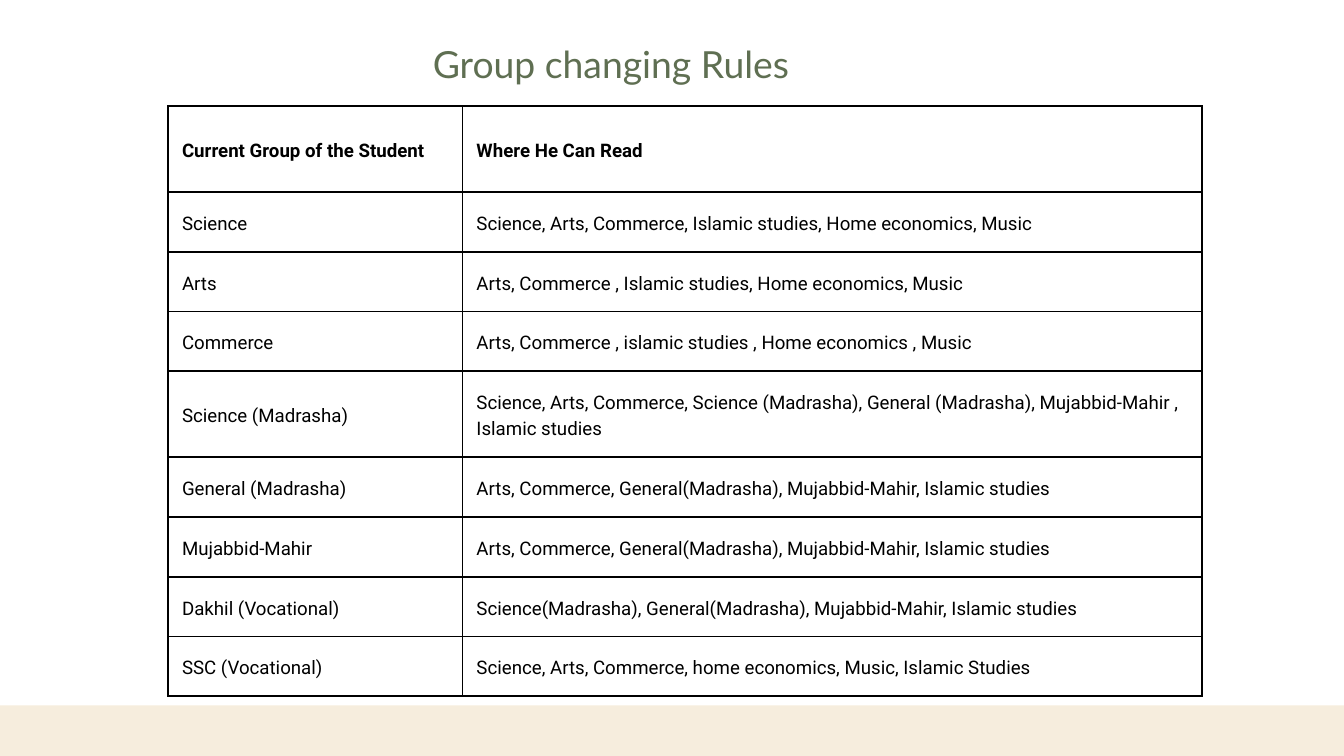
import lxml.etree
import pptx
import pptx.dml.color
import pptx.enum.shapes
import pptx.enum.text
import pptx.oxml.ns
import pptx.util

Cm = pptx.util.Cm
Pt = pptx.util.Pt

COLORS = {"title": "5F6F52", "text": "000000", "border": "000000", "band": "F6EDDD"}

RULES = [
    ("Current Group of the Student", "Where He Can Read"),
    ("Science", "Science, Arts, Commerce, Islamic studies, Home economics, Music"),
    ("Arts", "Arts, Commerce , Islamic studies, Home economics, Music"),
    ("Commerce", "Arts, Commerce , islamic studies , Home economics , Music"),
    ("Science (Madrasha)", "Science, Arts, Commerce, Science (Madrasha), "
     "General (Madrasha), Mujabbid-Mahir , Islamic studies"),
    ("General (Madrasha)", "Arts, Commerce, General(Madrasha), Mujabbid-Mahir, Islamic studies"),
    ("Mujabbid-Mahir", "Arts, Commerce, General(Madrasha), Mujabbid-Mahir, Islamic studies"),
    ("Dakhil (Vocational)", "Science(Madrasha), General(Madrasha), Mujabbid-Mahir, Islamic studies"),
    ("SSC (Vocational)", "Science, Arts, Commerce, home economics, Music, Islamic Studies"),
]
COLUMN_WIDTHS = (11.13, 27.94)
ROW_HEIGHT, TALL_ROW_HEIGHT = 2.26, 3.25
TALL_ROWS = (0, 4)


class Deck:
    """Holds the style and the current slide."""
    title_font, title_size, title_spacing = "Lato", 40, 48.4
    body_font, body_size, body_spacing = "Roboto", 20, 28
    cell_margin, border_width = 0.53, 2.25

    def __init__(self, s):
        self.s = s

    def color(self, name):
        return pptx.dml.color.RGBColor.from_string(COLORS[name])

    def format_text(self, p, font, size, spacing, color, bold=False):
        p.alignment = pptx.enum.text.PP_ALIGN.LEFT
        p.line_spacing = Pt(spacing)
        for r in p.runs:
            r.font.name = font
            r.font.size = Pt(size)
            r.font.bold = bold
            r.font.color.rgb = self.color(color)

    def title(self, text, left, top, width, height):
        sp = self.s.shapes.title
        sp.left, sp.top, sp.width, sp.height = Cm(left), Cm(top), Cm(width), Cm(height)
        tf = sp.text_frame
        tf.text = text
        tf.word_wrap = True
        tf.auto_size = pptx.enum.text.MSO_AUTO_SIZE.NONE
        tf.vertical_anchor = pptx.enum.text.MSO_ANCHOR.TOP
        tf.margin_left = tf.margin_right = tf.margin_top = tf.margin_bottom = 0
        self.format_text(tf.paragraphs[0], self.title_font, self.title_size,
                         self.title_spacing, "title")

    def band(self, left, top, width, height):
        sp = self.s.shapes.add_shape(pptx.enum.shapes.MSO_SHAPE.RECTANGLE,
                                     Cm(left), Cm(top), Cm(width), Cm(height))
        sp.shadow.inherit = False
        sp.fill.solid()
        sp.fill.fore_color.rgb = self.color("band")
        sp.line.fill.background()

    def table(self, rows, left, top, widths, heights):
        table = self.s.shapes.add_table(len(rows), len(widths), Cm(left), Cm(top),
                                        Cm(sum(widths)), Cm(sum(heights))).table
        table.first_row = table.horz_banding = False
        for column, width in zip(table.columns, widths):
            column.width = Cm(width)
        for i, (row, height) in enumerate(zip(rows, heights)):
            table.rows[i].height = Cm(height)
            for j, text in enumerate(row):
                self.cell(table.cell(i, j), text, bold=i == 0)

    def cell(self, cell, text, bold):
        cell.text_frame.text = text
        cell.vertical_anchor = pptx.enum.text.MSO_ANCHOR.MIDDLE
        margin = Cm(self.cell_margin)
        cell.margin_left = cell.margin_right = margin
        cell.margin_top = cell.margin_bottom = margin
        self.format_text(cell.text_frame.paragraphs[0], self.body_font, self.body_size,
                         self.body_spacing, "text", bold)
        self.borders(cell)
        cell.fill.background()

    def borders(self, cell):
        qn = pptx.oxml.ns.qn
        tcPr = cell._tc.get_or_add_tcPr()
        for side in ("a:lnL", "a:lnR", "a:lnT", "a:lnB"):
            ln = lxml.etree.SubElement(tcPr, qn(side), w=str(Pt(self.border_width)))
            fill = lxml.etree.SubElement(ln, qn("a:solidFill"))
            lxml.etree.SubElement(fill, qn("a:srgbClr"), val=COLORS["border"])


def main():
    prs = pptx.Presentation()
    prs.slide_width, prs.slide_height = Cm(50.8), Cm(28.58)
    title_only = prs.slide_layouts[5]
    deck = Deck(prs.slides.add_slide(title_only))
    deck.band(-0.81, 26.67, 52.42, 2.62)
    heights = [TALL_ROW_HEIGHT if i in TALL_ROWS else ROW_HEIGHT for i in range(len(RULES))]
    deck.table(RULES, 6.35, 4.01, COLUMN_WIDTHS, heights)
    deck.title("Group changing Rules", 16.36, 1.55, 18.08, 1.71)
    prs.save("out.pptx")


if __name__ == "__main__":
    main()
